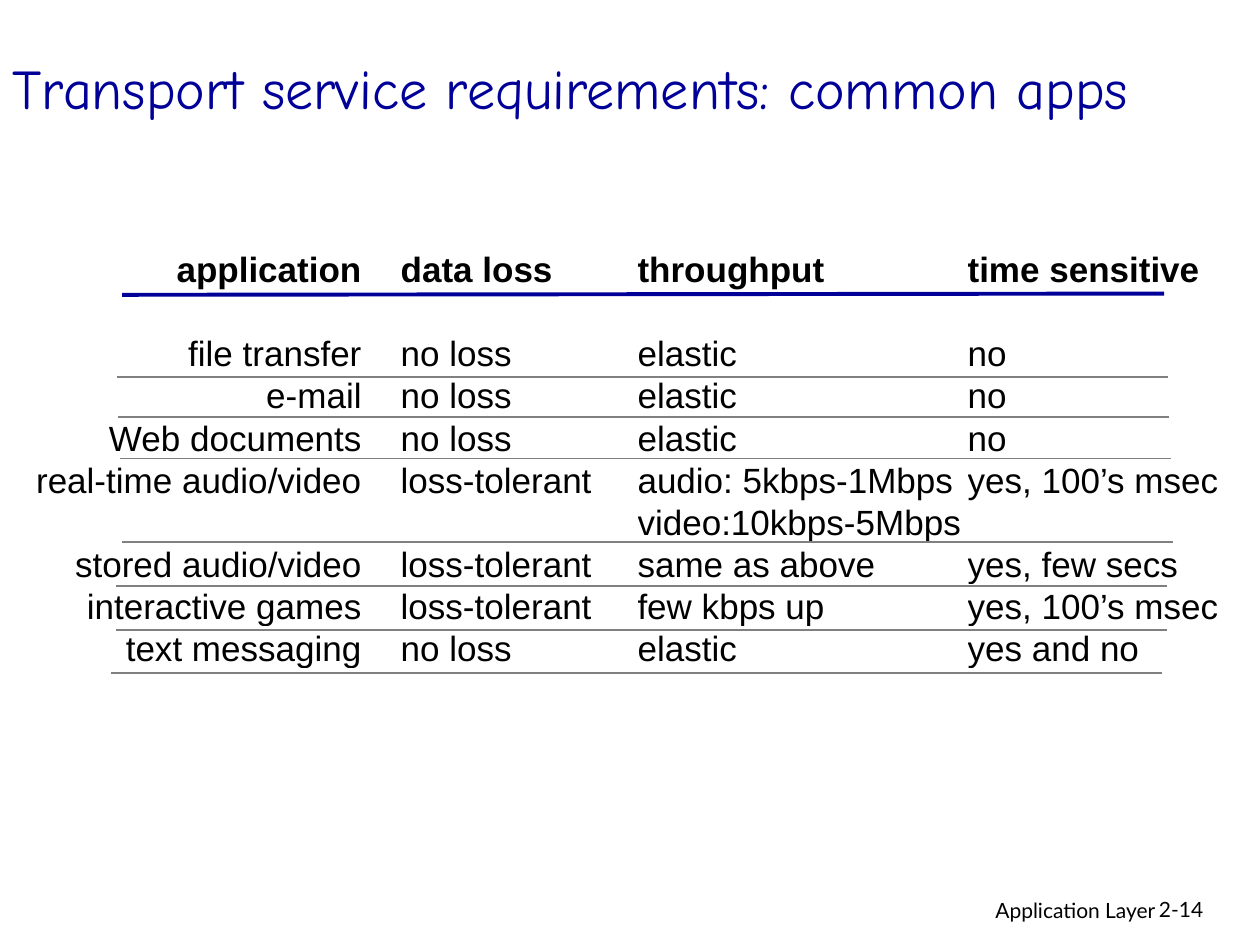
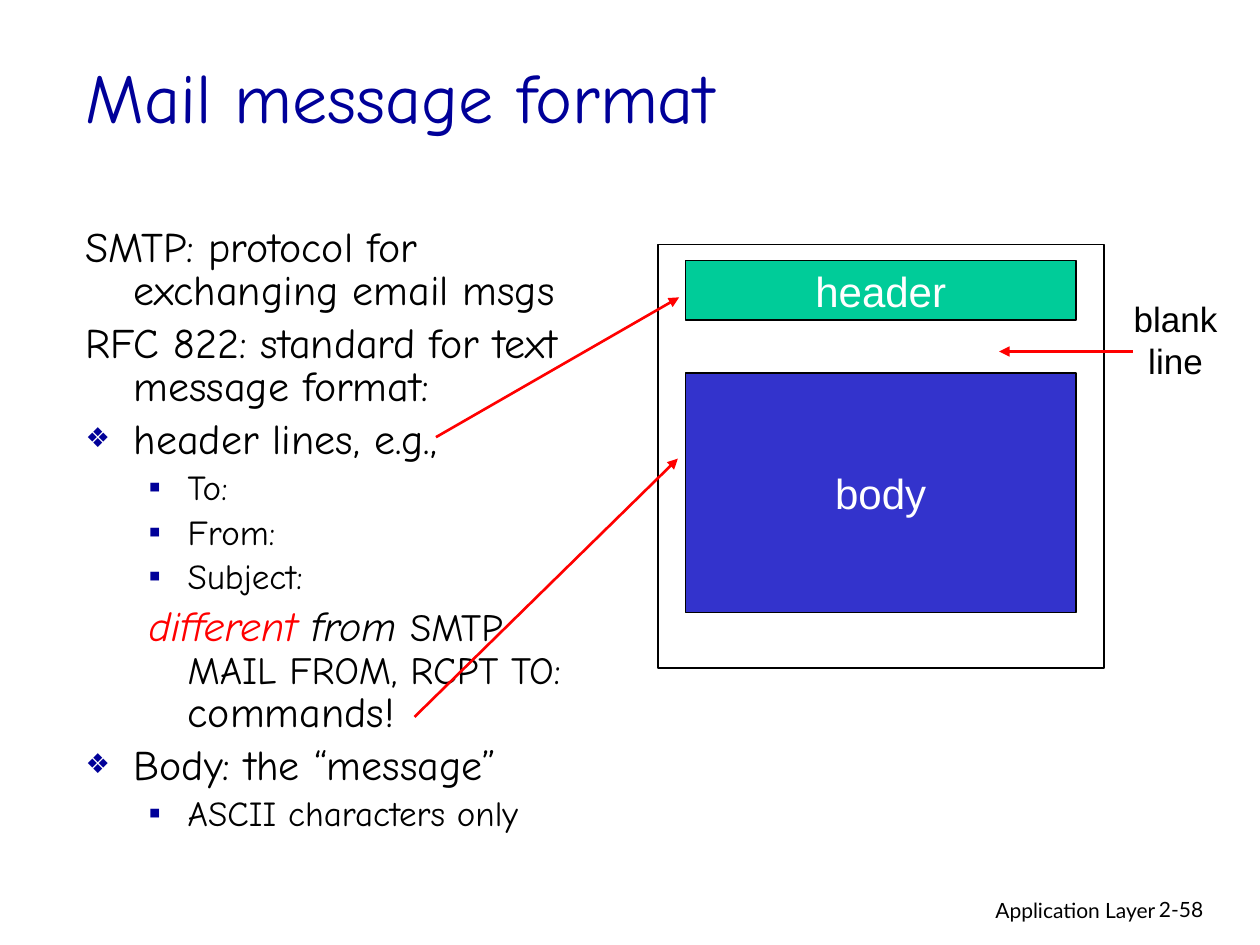
"""Build two lecture slides: transport service requirements and the mail message format."""
from lxml.etree import SubElement
from pptx import Presentation
from pptx.dml.color import RGBColor
from pptx.enum.shapes import MSO_CONNECTOR as Connector, MSO_SHAPE as Shape
from pptx.enum.text import MSO_ANCHOR as Anchor, MSO_AUTO_SIZE as AutoSize, PP_ALIGN as Align
from pptx.oxml.ns import qn
from pptx.util import Inches, Pt

COLORS = {
    "navy": "000099", "black": "000000", "white": "FFFFFF", "gray": "808080",
    "red": "FF0000", "green": "00CC99", "blue": "3333CC",
}
TITLE_FONT, TEXT_FONT, FOOTER_FONT = "Comic Neue", "Arial", "Lato"
FOOTER = "Application Layer"

REQUIREMENTS = {
    "page": "2-14", "title": "Transport service requirements: common apps",
    "box": (0, 0.25, 9.75, 0.89), "size": 32,
}
APPS = [
    ("application", "data loss", "throughput", "time sensitive"),
    ("file transfer", "no loss", "elastic", "no"),
    ("e-mail", "no loss", "elastic", "no"),
    ("Web documents", "no loss", "elastic", "no"),
    ("real-time audio/video", "loss-tolerant", "audio: 5kbps-1Mbps\nvideo:10kbps-5Mbps", "yes, 100’s msec"),
    ("stored audio/video", "loss-tolerant", "same as above", "yes, few secs"),
    ("interactive games", "loss-tolerant", "few kbps up", "yes, 100’s msec"),
    ("text messaging", "no loss", "elastic", "yes and no"),
]
COLUMN_EDGES = [0.19, 3.18, 5.06, 7.68, 9.85]
TABLE_TOP, NAME_GAP, LINE_POINTS = 1.97, 0.31, 24
ROW_LINES = [2, 1, 1, 1, 2, 1, 1, 1]
HEADER_RULE = ((0.97, 2.34), (9.24, 2.33))
ROW_RULES = [(0.93, 2.99), (0.94, 3.31), (0.95, 3.64), (0.97, 4.3), (0.92, 4.65), (0.92, 5), (0.88, 5.34)]
RULE_WIDTH = 8.34

MAIL = {
    "page": "2-58", "title": "Mail message format",
    "box": (0.58, 0.13, 8.5, 1.25), "size": 40,
}
BODY_BOX = (0.58, 1.76, 4.17, 5.08)
LIST_STYLES = {
    "plain": {"level": 0, "indent": (0.38, -0.38), "before": 6, "size": 24, "bullet": None},
    "main": {"level": 0, "indent": (0.38, -0.38), "before": 6, "size": 24, "bullet": ("❖", 65)},
    "sub": {"level": 1, "indent": (0.81, -0.31), "before": 5, "size": 20, "bullet": ("▪", 100)},
    "remark": {"level": 1, "indent": (0.81, -0.31), "before": 6, "size": 24, "bullet": None},
}
MAIL_ITEMS = [
    ("plain", "SMTP: protocol for exchanging email msgs"),
    ("plain", "RFC 822: standard for text message format:"),
    ("main", "header lines, e.g.,"),
    ("sub", "To:"),
    ("sub", "From:"),
    ("sub", "Subject:"),
    ("remark", [
        ("different ", {"color": "red", "italic": True}),
        ("from ", {"italic": True}),
        ("SMTP MAIL FROM, RCPT TO:", {"size": 22}),
        (" commands!", {}),
    ]),
    ("main", "Body: the “message”"),
    ("sub", "ASCII characters only"),
]
MESSAGE_PARTS = [
    ("header", (5.44, 2.07, 3.1, 0.47), "green", 0.75),
    ("body", (5.44, 2.96, 3.1, 1.9), "blue", 0.75),
    ("", (5.22, 1.94, 3.54, 3.36), None, 1),
]
ARROWS = [((3.46, 3.47), (5.39, 2.36)), ((3.29, 5.69), (5.38, 3.64)), ((8.99, 2.79), (7.93, 2.79))]
BLANK_LINE = ("blank\nline", (8.83, 2.31, 1, 0.77))


def color(name):
    return RGBColor.from_string(COLORS[name])


def apply(target, **values):
    for name, value in values.items():
        setattr(target, name, value)


def place(shape, box):
    apply(shape, **dict(zip(("left", "top", "width", "height"), map(Inches, box))))


def add_run(paragraph, text, size, font=TEXT_FONT, color_name="black", **values):
    run = paragraph.add_run()
    run.text = text
    apply(run.font, name=font, size=Pt(size), **values)
    run.font.color.rgb = color(color_name)


def write(frame, text, size, align=Align.LEFT, spacing=None, **values):
    for index, line in enumerate(text.split("\n")):
        paragraph = frame.add_paragraph() if index else frame.paragraphs[0]
        apply(paragraph, alignment=align, line_spacing=spacing)
        add_run(paragraph, line, size, **values)


def add_label(slide, text, box, size, **values):
    frame = slide.shapes.add_textbox(*map(Inches, box)).text_frame
    frame.word_wrap = True
    write(frame, text, size, **values)


def add_line(slide, start, end, color_name, width, arrow=False):
    line = slide.shapes.add_connector(Connector.STRAIGHT, *map(Inches, start + end))
    line.line.color.rgb = color(color_name)
    line.line.width = Pt(width)
    if arrow:
        SubElement(line.line._get_or_add_ln(), qn("a:tailEnd"), type="triangle")
    SubElement(line._element.spPr, qn("a:effectLst"))


def add_slide(presentation, layout, content):
    slide = presentation.slides.add_slide(presentation.slide_layouts[layout])
    add_label(slide, FOOTER, (6.1, 7.07, 3.17, 0.31), 12, align=Align.RIGHT, font=FOOTER_FONT)
    add_label(slide, content["page"], (9.1, 7.07, 0.74, 0.3), 12, font=FOOTER_FONT)
    title = slide.shapes.title
    place(title, content["box"])
    apply(title.text_frame, vertical_anchor=Anchor.MIDDLE, auto_size=AutoSize.NONE)
    write(title.text_frame, content["title"], content["size"], font=TITLE_FONT, color_name="navy")
    return slide


def add_apps_table(slide):
    heights = [Pt(LINE_POINTS * lines) for lines in ROW_LINES]
    table = slide.shapes.add_table(
        len(APPS), len(APPS[0]), Inches(COLUMN_EDGES[0]), Inches(TABLE_TOP),
        Inches(COLUMN_EDGES[-1] - COLUMN_EDGES[0]), sum(heights)).table
    apply(table, first_row=False, horz_banding=False)
    for column, left, right in zip(table.columns, COLUMN_EDGES, COLUMN_EDGES[1:]):
        column.width = Inches(right - left)
    for row_index, (row, height, texts) in enumerate(zip(table.rows, heights, APPS)):
        row.height = height
        for column_index, (cell, text) in enumerate(zip(row.cells, texts)):
            is_name = column_index == 0
            cell.fill.background()
            apply(cell, margin_left=0, margin_top=0, margin_bottom=0,
                  margin_right=Inches(NAME_GAP if is_name else 0))
            write(cell.text_frame, text, 20, Align.RIGHT if is_name else Align.LEFT,
                  Pt(LINE_POINTS), bold=row_index == 0)


def set_bullet(properties, bullet):
    if bullet is None:
        SubElement(properties, qn("a:buNone"))
        return
    character, percent = bullet
    bullet_color = SubElement(properties, qn("a:buClr"))
    SubElement(bullet_color, qn("a:srgbClr"), val=COLORS["navy"])
    SubElement(properties, qn("a:buSzPct"), val=str(percent * 1000))
    SubElement(properties, qn("a:buFont"), typeface=TEXT_FONT)
    SubElement(properties, qn("a:buChar"), char=character)


def fill_mail_list(placeholder):
    place(placeholder, BODY_BOX)
    frame = placeholder.text_frame
    frame.auto_size = AutoSize.NONE
    for index, (style_name, content) in enumerate(MAIL_ITEMS):
        style = LIST_STYLES[style_name]
        paragraph = frame.add_paragraph() if index else frame.paragraphs[0]
        apply(paragraph, level=style["level"], line_spacing=0.85, space_before=Pt(style["before"]))
        properties = paragraph._p.get_or_add_pPr()
        for name, length in zip(("marL", "indent"), style["indent"]):
            properties.set(name, str(Inches(length)))
        set_bullet(properties, style["bullet"])
        runs = [(content, {})] if isinstance(content, str) else content
        for text, changes in runs:
            values = {"size": style["size"], "color_name": changes.get("color", "black")}
            values.update((key, value) for key, value in changes.items() if key != "color")
            add_run(paragraph, text, font=TITLE_FONT, **values)


def add_message_part(slide, text, box, fill, width):
    part = slide.shapes.add_shape(Shape.RECTANGLE, *map(Inches, box))
    part.shadow.inherit = False
    part.line.color.rgb = color("black")
    part.line.width = Pt(width)
    if fill is None:
        part.fill.background()
        return
    part.fill.solid()
    part.fill.fore_color.rgb = color(fill)
    apply(part.text_frame, word_wrap=False, vertical_anchor=Anchor.MIDDLE)
    write(part.text_frame, text, 24, Align.CENTER, color_name="white")


def build_requirements(presentation):
    slide = add_slide(presentation, 5, REQUIREMENTS)
    add_apps_table(slide)
    add_line(slide, *HEADER_RULE, "navy", 2.25)
    for left, top in ROW_RULES:
        add_line(slide, (left, top), (left + RULE_WIDTH, top), "gray", 1)


def build_mail(presentation):
    slide = add_slide(presentation, 1, MAIL)
    fill_mail_list(slide.placeholders[1])
    for part in MESSAGE_PARTS:
        add_message_part(slide, *part)
    for start, end in ARROWS:
        add_line(slide, start, end, "red", 1.5, arrow=True)
    add_label(slide, *BLANK_LINE, 20, align=Align.CENTER)


def main():
    presentation = Presentation()
    apply(presentation, slide_width=Inches(10), slide_height=Inches(7.5))
    build_requirements(presentation)
    build_mail(presentation)
    presentation.save("out.pptx")


if __name__ == "__main__":
    main()
